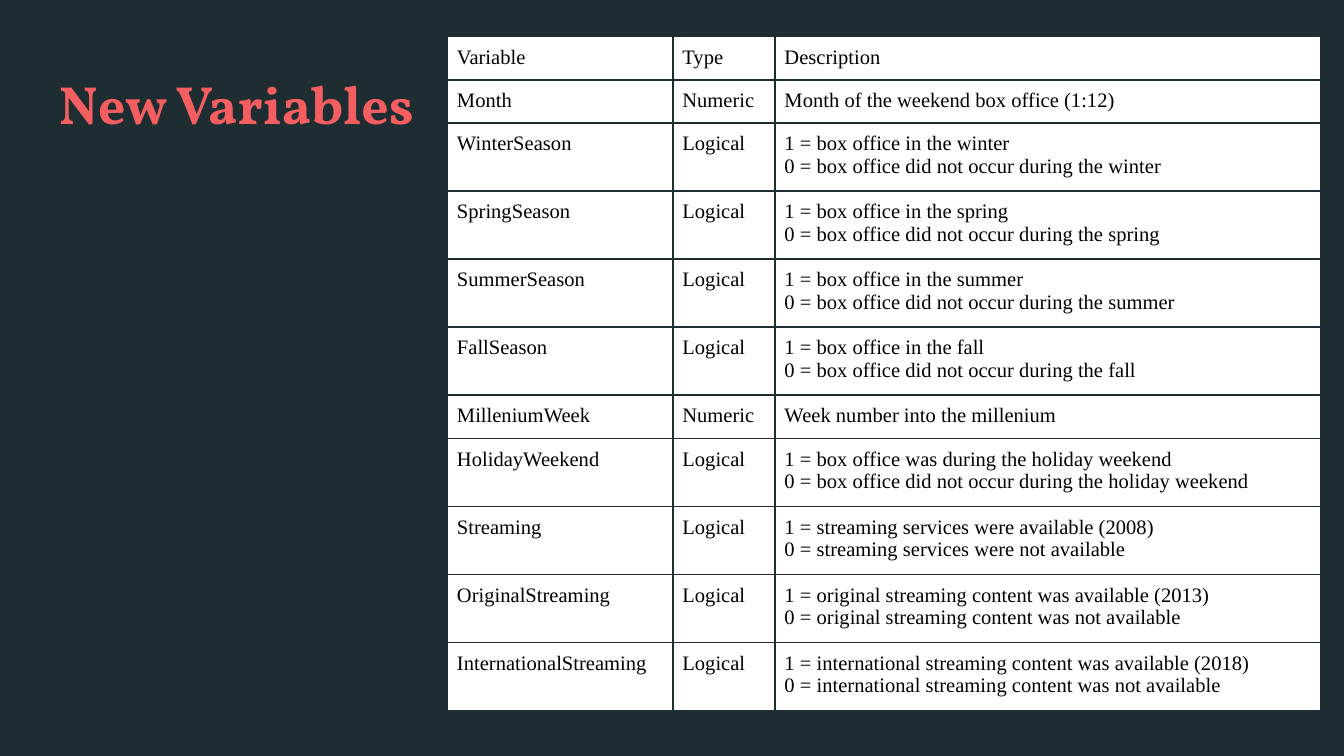
from lxml import etree
from pptx import Presentation
from pptx.dml.color import RGBColor
from pptx.enum.text import MSO_ANCHOR
from pptx.oxml.ns import qn
from pptx.util import Cm, Pt

TOP = MSO_ANCHOR.TOP

COLOURS = {
    "background": "1E2D31",
    "title": "F55E61",
    "cell": "FFFFFF",
    "text": "000000",
}


def colour(name):
    return RGBColor.from_string(COLOURS[name])


def write_text(frame, text, font, size, color, bold=False):
    """Fill a text frame, one paragraph for each line of text."""
    for index, line in enumerate(text.split("\n")):
        para = frame.add_paragraph() if index else frame.paragraphs[0]
        span = para.add_run()
        span.text = line
        span.font.name = font
        span.font.size = Pt(size)
        span.font.bold = bold
        span.font.color.rgb = colour(color)


def set_margins(holder, margin):
    """Give a text frame or a table cell equal margins and a top anchor."""
    holder.margin_left = holder.margin_right = margin
    holder.margin_top = holder.margin_bottom = margin
    holder.vertical_anchor = TOP


class PageBuilder:
    title_font = "Vollkorn"
    body_font = "Times New Roman"
    border_width = Pt(1)
    cell_margin = Pt(5)
    header_row, single_row, double_row = 0.28, 0.78, 1.22

    def __init__(self, deck):
        self.page = deck.slides.add_slide(deck.slide_layouts[6])
        fill = self.page.background.fill
        fill.solid()
        fill.fore_color.rgb = colour("background")

    def title(self, text, left, top, width, height):
        box = self.page.shapes.add_textbox(Cm(left), Cm(top), Cm(width), Cm(height))
        box.text_frame.word_wrap = True
        set_margins(box.text_frame, Cm(0.25))
        write_text(box.text_frame, text, font=self.title_font, size=28.8,
                   color="title", bold=True)

    def borders(self, cell):
        properties = cell._tc.get_or_add_tcPr()
        for position, side in enumerate(("a:lnL", "a:lnR", "a:lnT", "a:lnB")):
            line = etree.Element(qn(side), w=str(self.border_width))
            fill = etree.SubElement(line, qn("a:solidFill"))
            etree.SubElement(fill, qn("a:srgbClr"), val=COLOURS["background"])
            properties.insert(position, line)

    def table(self, rows, left, top, widths, height):
        # The header row grows to fit its text
        heights = [self.header_row] + [
            self.double_row if "\n" in row[-1] else self.single_row
            for row in rows[1:]]
        holder = self.page.shapes.add_table(
            len(rows), len(widths), Cm(left), Cm(top), Cm(sum(widths)), Cm(height))
        table = holder.table
        table.first_row = table.horz_banding = False
        for column, width in zip(table.columns, widths):
            column.width = Cm(width)
        for table_row, row_height, texts in zip(table.rows, heights, rows):
            table_row.height = Cm(row_height)
            for cell, text in zip(table_row.cells, texts):
                cell.fill.solid()
                cell.fill.fore_color.rgb = colour("cell")
                self.borders(cell)
                set_margins(cell, self.cell_margin)
                write_text(cell.text_frame, text, font=self.body_font,
                           size=11, color="text")
        # Row heights change the frame, so its height is set last
        holder.height = Cm(height)


def season_row(season):
    return (f"{season}Season", "Logical",
            f"1 = box office in the {season.lower()}\n"
            f"0 = box office did not occur during the {season.lower()}")


def streaming_row(name, subject, year):
    return (name, "Logical",
            f"1 = {subject} available ({year})\n"
            f"0 = {subject} not available")


# Table content
VARIABLES = [
    ("Variable", "Type", "Description"),
    ("Month", "Numeric", "Month of the weekend box office (1:12)"),
    *[season_row(season) for season in ("Winter", "Spring", "Summer", "Fall")],
    ("MilleniumWeek", "Numeric", "Week number into the millenium"),
    ("HolidayWeekend", "Logical",
     "1 = box office was during the holiday weekend\n"
     "0 = box office did not occur during the holiday weekend"),
    streaming_row("Streaming", "streaming services were", 2008),
    streaming_row("OriginalStreaming", "original streaming content was", 2013),
    streaming_row("InternationalStreaming",
                  "international streaming content was", 2018),
]


def main():
    deck = Presentation()
    deck.slide_width, deck.slide_height = Cm(25.4), Cm(14.29)
    builder = PageBuilder(deck)
    builder.title("New Variables", 0.87, 1.09, 23.67, 1.73)
    builder.table(VARIABLES, 8.46, 0.69, (4.26, 1.93, 10.31), height=8.33)
    deck.save("out.pptx")


if __name__ == "__main__":
    main()
